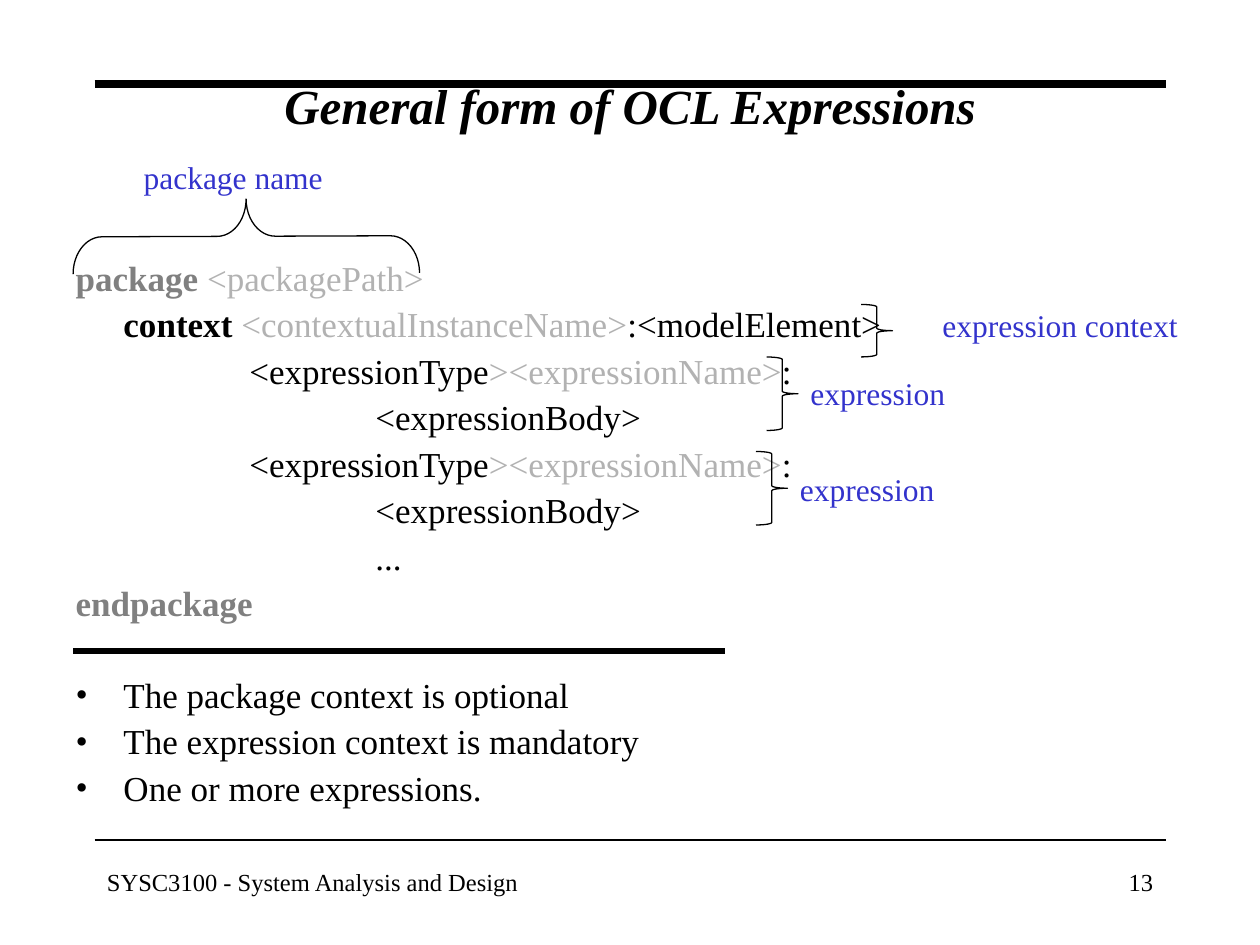
from pptx import Presentation, util as u
from pptx.dml.color import RGBColor
from pptx.enum import shapes, text
from pptx.oxml.ns import qn
from lxml import etree

BLACK = RGBColor(0, 0, 0)
BLUE = RGBColor(0x33, 0x33, 0xCC)
GRAY = RGBColor(0x80, 0x80, 0x80)
PALE = RGBColor(0xB2, 0xB2, 0xB2)
FONT = "Times New Roman"

deck = Presentation()
deck.slide_width, deck.slide_height = u.Inches(10), u.Inches(7.5)
slide = deck.slides.add_slide(deck.slide_layouts[1])
items = slide.shapes
COL = deck.slide_width / 120  # grid of 120 columns and 90 rows
ROW = deck.slide_height / 90


def place(shape, x, y, w, h):
    shape.left, shape.top = round(x * COL), round(y * ROW)
    shape.width, shape.height = round(w * COL), round(h * ROW)


def style(run, size, color=BLACK, bold=False):
    font = run.font
    font.name, font.size, font.bold = FONT, u.Pt(size), bold
    font.color.rgb = color


# Rules: under the header, above the footer, below the code
for x, y, end, wide in [(9, 8, 111, 4.5), (9, 80, 111, 1), (7, 62, 69, 3)]:
    rule = items.add_connector(shapes.MSO_CONNECTOR.STRAIGHT, round(x * COL), round(y * ROW),
                               round(end * COL), round(y * ROW))
    rule.line.color.rgb = BLACK
    rule.line.width = u.Pt(wide)
    etree.SubElement(rule.element.spPr, qn("a:effectLst"))

# Title
title = items.title
place(title, 9, 8, 102, 4)
title.text_frame.text = "General form of OCL Expressions"
title.text_frame.auto_size = text.MSO_AUTO_SIZE.NONE
title.text_frame.vertical_anchor = text.MSO_ANCHOR.MIDDLE
run = title.text_frame.paragraphs[0].runs[0]
style(run, 28, bold=True)
run.font.italic = True

# Body: left margin, first-line indent, space before, tab stop, runs
STEP = 0.38
TYPE = [("<expressionType", 20), ("><expressionName>", 20, PALE), (":", 20)]
BODY = [("<expressionBody>", 20)]
lines = [
    (0.54, -0.54, 4.5, 0, [("\t", 24), ("package name", 18, BLUE)]),
    (0, 0, 36, 0, [("package ", 20, GRAY, True), ("<packagePath>", 20, PALE)]),
    (STEP, 0, 4.5, 6.29, [("context ", 20, BLACK, True), ("<contextualInstanceName>", 20, PALE),
                          (":<modelElement>", 20), ("\texpression context", 18, BLUE)]),
    (1 + STEP, 0, 5, 0, TYPE),
    (2 + STEP, 0, 5, 0, BODY),
    (1 + STEP, 0, 5, 0, TYPE),
    (2 + STEP, 0, 5, 0, BODY),
    (2 + STEP, 0, 5, 0, [("...", 20)]),
    (0, 0, 5, 0, [("endpackage", 20, GRAY, True)]),
    (STEP, -STEP, 30.7, 0, [("The package context is optional", 20)]),
    (STEP, -STEP, 5, 0, [("The expression context is mandatory", 20)]),
    (STEP, -STEP, 5, 0, [("One or more expressions.", 20)]),
]
body = slide.placeholders[1]
place(body, 6, 14, 109, 66)
frame = body.text_frame
frame.auto_size = text.MSO_AUTO_SIZE.NONE
for i, (left, first, gap, stop, parts) in enumerate(lines):
    para = frame.paragraphs[0] if i == 0 else frame.add_paragraph()
    para.space_before, para.line_spacing = u.Pt(gap), 0.9
    prop = para._p.get_or_add_pPr()
    prop.set("marL", str(u.Inches(left)))
    prop.set("indent", str(u.Inches(first)))
    if first == -STEP:
        etree.SubElement(prop, qn("a:buFont"), typeface=FONT)
        etree.SubElement(prop, qn("a:buChar"), char="•")
    else:
        etree.SubElement(prop, qn("a:buNone"))
        tabs = etree.SubElement(prop, qn("a:tabLst"))
        etree.SubElement(tabs, qn("a:tab"), pos=str(u.Inches(stop)), algn="l")
    for words, *look in parts:
        run = para.add_run()
        run.text = words
        style(run, *look)

# Braces
for x, y, w, h, turn, bend in [(19.9, 6, 7.1, 33, 269.8, 0.39), (82, 29, 3, 5, 0, 0.08),
                               (73, 34, 3, 7, 0, 0.08), (72, 43, 3, 7, 0, 0.08)]:
    brace = items.add_shape(shapes.MSO_SHAPE.RIGHT_BRACE, 0, 0, 0, 0)
    place(brace, x, y, w, h)
    brace.rotation = turn
    brace.adjustments[0] = bend
    brace.shadow.inherit = False
    brace.fill.background()
    brace.line.color.rgb = BLACK
    brace.line.width = u.Pt(0.75)

# Brace labels and footer
LEFT, RIGHT = text.PP_ALIGN.LEFT, text.PP_ALIGN.RIGHT
for words, x, y, w, h, size, color, side in [
    ("expression", 76, 35, 22, 4.8, 18, BLUE, LEFT),
    ("expression", 75, 44.2, 18, 4.8, 18, BLUE, LEFT),
    ("SYSC3100 - System Analysis and Design", 9, 82, 69, 6, 14, BLACK, LEFT),
    ("13", 86, 82, 25, 6, 14, BLACK, RIGHT),
]:
    box = items.add_textbox(0, 0, 0, 0)
    place(box, x, y, w, h)
    box.text_frame.word_wrap = True
    box.text_frame.text = words
    para = box.text_frame.paragraphs[0]
    para.alignment = side
    style(para.runs[0], size, color)

deck.save("out.pptx")
